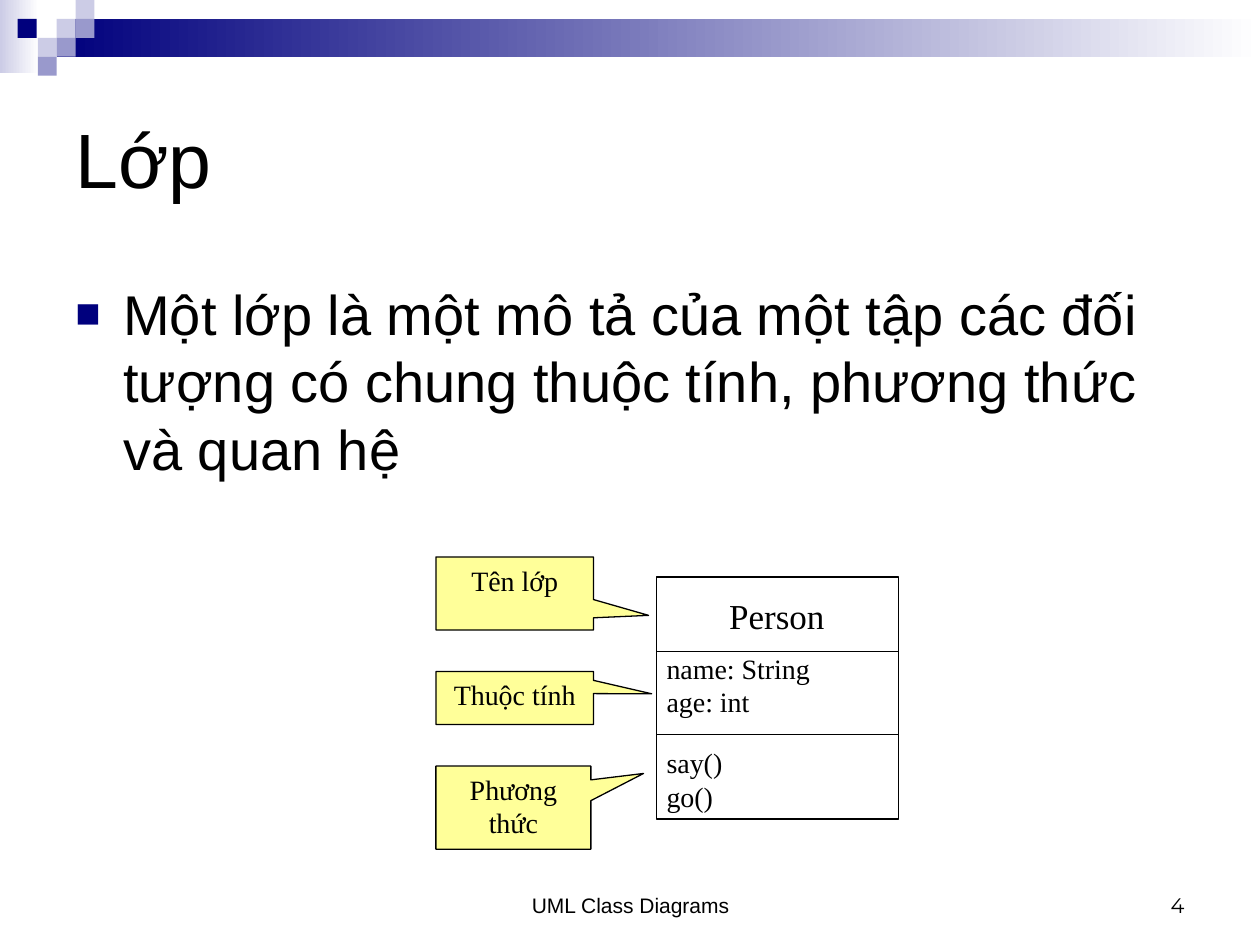
from lxml import etree
from pptx import Presentation
from pptx.dml.color import RGBColor
from pptx.enum.shapes import MSO_CONNECTOR, MSO_SHAPE
from pptx.enum.text import MSO_ANCHOR, MSO_AUTO_SIZE, PP_ALIGN
from pptx.oxml.ns import qn
from pptx.util import Pt

PX = 9144
BLACK = RGBColor(0x00, 0x00, 0x00)
WHITE = RGBColor(0xFF, 0xFF, 0xFF)
NAVY = RGBColor(0x00, 0x00, 0x7D)
LILAC = RGBColor(0xCC, 0xCC, 0xE6)
VIOLET = RGBColor(0x99, 0x99, 0xCC)
YELLOW = RGBColor(0xFF, 0xFF, 0x99)
SANS, SERIF, DIGITS = "Arial", "Times New Roman", "Montserrat"
LEFT, CENTER, RIGHT = PP_ALIGN.LEFT, PP_ALIGN.CENTER, PP_ALIGN.RIGHT
TOP, MIDDLE, BOTTOM = MSO_ANCHOR.TOP, MSO_ANCHOR.MIDDLE, MSO_ANCHOR.BOTTOM
NO_FIT = MSO_AUTO_SIZE.NONE
RECT, CALLOUT = MSO_SHAPE.RECTANGLE, MSO_SHAPE.RECTANGULAR_CALLOUT
STRAIGHT = MSO_CONNECTOR.STRAIGHT


class Deck:
    """Draws styled elements on the current slide, with lengths in px."""

    def __init__(self, width, height):
        self.prs = Presentation()
        self.prs.slide_width, self.prs.slide_height = width * PX, height * PX
        self.s = self.prs.slides.add_slide(self.prs.slide_layouts[5])

    def set_text(self, sp, text, size, font=SERIF, align=LEFT, anchor=TOP, inset=(10, 5)):
        tf = sp.text_frame
        dx, dy = (v * PX for v in inset)
        frame = {"word_wrap": True, "auto_size": NO_FIT, "vertical_anchor": anchor,
                 "margin_left": dx, "margin_right": dx,
                 "margin_top": dy, "margin_bottom": dy}
        for name, value in frame.items():
            setattr(tf, name, value)
        p = tf.paragraphs[0]
        p.text = text
        p.alignment = align
        for r in p.runs:
            for name, value in {"size": Pt(size), "name": font}.items():
                setattr(r.font, name, value)
            r.font.color.rgb = BLACK
        return p

    def title(self, box, text, size):
        sp = self.s.shapes.title
        for name, value in zip(("left", "top", "width", "height"), box):
            setattr(sp, name, value * PX)
        self.set_text(sp, text, size, SANS, anchor=MIDDLE)

    def text(self, box, text, size, **style):
        sp = self.s.shapes.add_textbox(*(v * PX for v in box))
        return self.set_text(sp, text, size, **style)

    def bullet(self, box, text, size):
        pPr = self.text(box, text, size, font=SANS)._p.get_or_add_pPr()
        pPr.set("marL", str(38 * PX))
        pPr.set("indent", str(-38 * PX))
        color = etree.SubElement(pPr, qn("a:buClr"))
        etree.SubElement(color, qn("a:srgbClr"), val=str(NAVY))
        etree.SubElement(pPr, qn("a:buSzPct"), val="75000")
        etree.SubElement(pPr, qn("a:buFont"), typeface=SANS)
        etree.SubElement(pPr, qn("a:buChar"), char="■")

    def shape(self, box, fill=None, line=None, kind=RECT):
        sp = self.s.shapes.add_shape(kind, *(v * PX for v in box))
        sp.shadow.inherit = False
        if fill is None:
            sp.fill.background()
        else:
            sp.fill.solid()
            sp.fill.fore_color.rgb = fill
        if line is None:
            sp.line.fill.background()
        else:
            sp.line.color.rgb = line
            sp.line.width = Pt(0.75)
        return sp

    def fade(self, box, color):
        fill = self.shape(box).fill
        fill.gradient()
        fill.gradient_angle = 0
        for stop, rgb in zip(fill.gradient_stops, (color, WHITE)):
            stop.color.rgb = rgb

    def rule(self, x1, x2, y):
        cx = self.s.shapes.add_connector(STRAIGHT, x1 * PX, y * PX, x2 * PX, y * PX)
        cx.line.color.rgb = BLACK
        cx.line.width = Pt(0.75)
        etree.SubElement(cx._element.spPr, qn("a:effectLst"))

    def callout(self, box, text, tip):
        sp = self.shape(box, YELLOW, BLACK, CALLOUT)
        for i, value in enumerate(tip):
            sp.adjustments[i] = value
        self.set_text(sp, text, 16, align=CENTER)


def main():
    deck = Deck(1000, 750)

    deck.fade((0, 0, 31, 58), LILAC)
    deck.fade((45, 15, 955, 30), NAVY)
    for x, y, color in ((45, 15, LILAC), (60, 0, LILAC), (60, 15, VIOLET),
                        (30, 30, LILAC), (14, 15, NAVY), (45, 30, VIOLET),
                        (30, 45, VIOLET)):
        deck.shape((x, y, 15, 15), color)

    deck.title((50, 50, 900, 150), "Lớp", 44)
    deck.bullet((50, 217, 900, 173), "Một lớp là một mô tả của một tập các đối tượng "
                "có chung thuộc tính, phương thức và quan hệ", 32)

    deck.shape((521, 458, 192, 192), line=BLACK)
    for y in (517, 583):
        deck.rule(521, 713, y)
    deck.text((529, 467, 175, 44), "Person", 20, align=CENTER)
    for y, members in ((517, "name: String\nage: int"), (592, "say()\ngo()")):
        deck.text((529, y, 175, 53), members, 16, anchor=MIDDLE, inset=(0, 0))

    for y, w, h, label, tip in ((442, 125, 58, "Tên lớp", (0.85, 0.3)),
                                (533, 125, 42, "Thuộc tính", (0.87, -0.08)),
                                (608, 123, 66, "Phương thức", (0.84, -0.41))):
        deck.callout((346, y, w, h), label, tip)

    deck.text((342, 683, 317, 50), "UML Class Diagrams", 12,
              font=SANS, align=CENTER, anchor=BOTTOM)
    deck.text((717, 683, 233, 50), "4", 12, font=DIGITS, align=RIGHT, anchor=BOTTOM)
    deck.prs.save("out.pptx")


if __name__ == "__main__":
    main()
